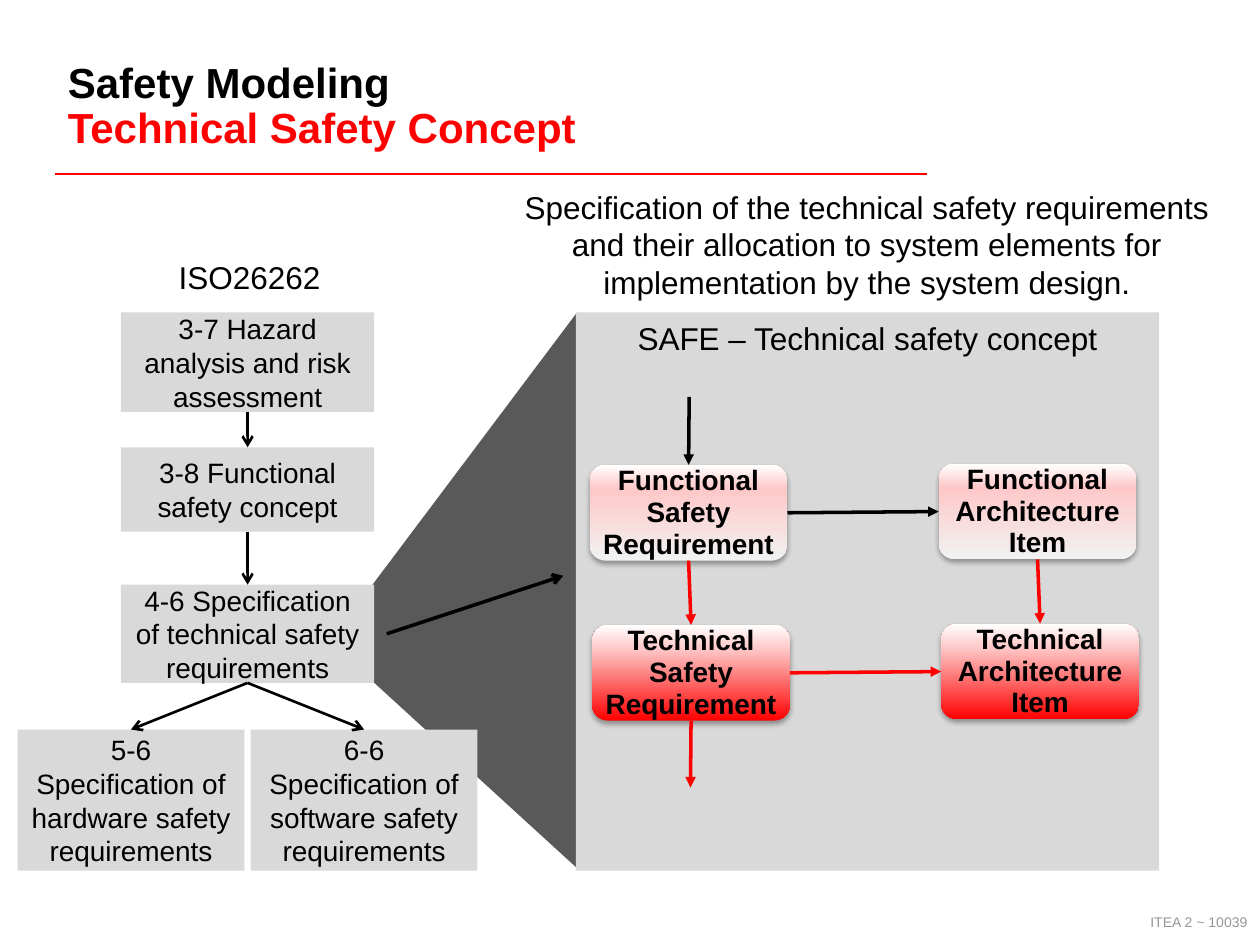
from copy import deepcopy

from lxml import etree
from pptx import Presentation
from pptx.dml.color import RGBColor
from pptx.enum import shapes, text
from pptx.oxml.ns import qn
from pptx.util import Inches, Pt

COLORS = {
    "black": "000000",
    "red": "FF0000",
    "pink": "FEC8C8",
    "white": "FFFFFF",
    "pale": "F2F2F2",
    "panel": "D9D9D9",
    "funnel": "595959",
    "footer": "969696",
}
TOP, LEFT, BOTTOM, RIGHT = range(4)
CENTER = text.PP_ALIGN.CENTER
MIDDLE = text.MSO_ANCHOR.MIDDLE


def rgb(name):
    return RGBColor.from_string(COLORS[name])


def set_text(sp, content, size, color="black", bold=False, align=None,
             anchor=text.MSO_ANCHOR.TOP, spacing=None):
    tf = sp.text_frame
    tf.word_wrap = True
    tf.vertical_anchor = anchor
    p = tf.paragraphs[0]
    p.text = content
    p.alignment = align
    p.line_spacing = spacing
    for r in p.runs:
        r.font.name = "Arial"
        r.font.size = Pt(size)
        r.font.bold = bold
        r.font.color.rgb = rgb(color)
    return tf


def add_label(s, box, content, size, **style):
    sp = s.shapes.add_textbox(*map(Inches, box))
    return set_text(sp, content, size, **style)


def add_box(s, box, content, size=16, anchor=MIDDLE):
    sp = s.shapes.add_shape(shapes.MSO_SHAPE.RECTANGLE, *map(Inches, box))
    sp.shadow.inherit = False
    sp.fill.solid()
    sp.fill.fore_color.rgb = rgb("panel")
    sp.line.fill.background()
    set_text(sp, content, size, align=CENTER, anchor=anchor)
    return sp


def add_drop_shadow(sp):
    sp.shadow.inherit = False
    effects = sp._element.spPr.find(qn("a:effectLst"))
    shadow = etree.SubElement(effects, qn("a:outerShdw"), blurRad=str(Pt(3.1)),
                              dist=str(Pt(1.8)), dir="5400000", rotWithShape="0")
    color = etree.SubElement(shadow, qn("a:srgbClr"), val=COLORS["black"])
    etree.SubElement(color, qn("a:alpha"), val="35000")


def add_item(s, left, top, content, base):
    sp = s.shapes.add_shape(shapes.MSO_SHAPE.ROUNDED_RECTANGLE, Inches(left),
                            Inches(top), Inches(1.57), Inches(0.76))
    sp.fill.gradient()
    sp.fill.gradient_angle = 90
    stops = sp._element.spPr.find(qn("a:gradFill")).find(qn("a:gsLst"))
    stops.append(deepcopy(stops[-1]))
    ramp = ((0, base), (0.75, "pink"), (1, "white"))
    for stop, (position, color) in zip(sp.fill.gradient_stops, ramp):
        stop.position = position
        stop.color.rgb = rgb(color)
    sp.line.fill.background()
    add_drop_shadow(sp)
    tf = set_text(sp, content, 16, bold=True, align=CENTER, anchor=MIDDLE, spacing=0.95)
    tf.margin_left = tf.margin_right = tf.margin_top = tf.margin_bottom = 0
    return sp


def add_line(s, start, end, color="black", width=2, head=None):
    line = s.shapes.add_connector(shapes.MSO_CONNECTOR.STRAIGHT,
                                  *map(Inches, (*start, *end)))
    line.line.color.rgb = rgb(color)
    line.line.width = Pt(width)
    if head:
        etree.SubElement(line.line._get_or_add_ln(), qn("a:tailEnd"), type=head)
    etree.SubElement(line._element.spPr, qn("a:effectLst"))
    return line


def join(s, source, source_side, target, target_side, **style):
    line = add_line(s, (0, 0), (1, 1), **style)
    line.begin_connect(source, source_side)
    line.end_connect(target, target_side)


def add_funnel(s):
    points = [(2.95, 4.65), (4.58, 2.48), (4.58, 6.89), (2.96, 5.41)]
    start, *rest = [(Inches(x), Inches(y)) for x, y in points]
    builder = s.shapes.build_freeform(*start)
    builder.add_line_segments(rest, close=True)
    sp = builder.convert_to_shape()
    sp.shadow.inherit = False
    sp.fill.solid()
    sp.fill.fore_color.rgb = rgb("funnel")
    sp.line.fill.background()


def add_heading(s):
    add_label(s, (8.69, 7.2, 1.31, 0.23), "ITEA 2 ~ 10039", 8, color="footer",
              align=text.PP_ALIGN.RIGHT, anchor=text.MSO_ANCHOR.BOTTOM)
    add_line(s, (0.44, 1.38), (7.36, 1.38), "red", 1.5)
    tf = add_label(s, (0.44, 0.33, 6.91, 0.93),
                   "Safety Modeling\vTechnical Safety Concept", 24, bold=True,
                   anchor=text.MSO_ANCHOR.BOTTOM, spacing=0.9)
    tf.paragraphs[0].runs[1].font.color.rgb = rgb("red")


def add_standard_flow(s):
    steps = [
        (2.48, 0.79, "3-7 Hazard analysis and risk assessment"),
        (3.55, 0.67, "3-8 Functional safety concept"),
        (4.64, 0.78, "4-6 Specification of technical safety requirements"),
    ]
    chain = [add_box(s, (0.96, top, 2.01, height), label) for top, height, label in steps]
    parts = [
        add_box(s, (left, 5.79, 1.8, 1.12), f"{part} safety requirements")
        for left, part in ((0.14, "5-6 Specification of hardware"),
                           (1.99, "6-6 Specification of software"))
    ]
    links = [*zip(chain, chain[1:]), *((chain[-1], part) for part in parts)]
    for source, target in links:
        join(s, source, BOTTOM, target, TOP, width=1.5, head="arrow")
    tf = add_label(s, (1.32, 2, 1.34, 0.4), "ISO26262", 18)
    tf.word_wrap = False


def add_safety_concept(s):
    add_box(s, (4.57, 2.48, 4.63, 4.43), "SAFE – Technical safety concept", 18,
            text.MSO_ANCHOR.TOP)
    add_label(s, (3.96, 1.44, 5.84, 1.01),
              "Specification of the technical safety requirements and their allocation "
              "to system elements for implementation by the system design.",
              18, align=CENTER)
    rows = []
    for level, left, top, base, color in (("Functional", 4.68, 3.69, "pale", "black"),
                                          ("Technical", 4.7, 4.96, "red", "red")):
        requirement = add_item(s, left, top, f"{level} Safety Requirement", base)
        item = add_item(s, left + 2.77, top - 0.01, f"{level} Architecture Item", base)
        join(s, requirement, RIGHT, item, LEFT, color=color, head="triangle")
        rows.append((requirement, item))
    for upper, lower in zip(*rows):
        join(s, upper, BOTTOM, lower, TOP, color="red", head="triangle")
    outgoing = add_line(s, (5.48, 5.72), (5.48, 6.25), "red", head="triangle")
    outgoing.begin_connect(rows[1][0], BOTTOM)
    incoming = add_line(s, (5.47, 3.15), (5.47, 3.69), head="triangle")
    incoming.end_connect(rows[0][0], TOP)


def main():
    prs = Presentation()
    prs.slide_width, prs.slide_height = Inches(10), Inches(7.5)
    s = prs.slides.add_slide(prs.slide_layouts[6])
    add_funnel(s)
    add_heading(s)
    add_standard_flow(s)
    add_safety_concept(s)
    add_line(s, (3.07, 5.03), (4.47, 4.57), head="arrow")
    prs.save("out.pptx")


if __name__ == "__main__":
    main()
